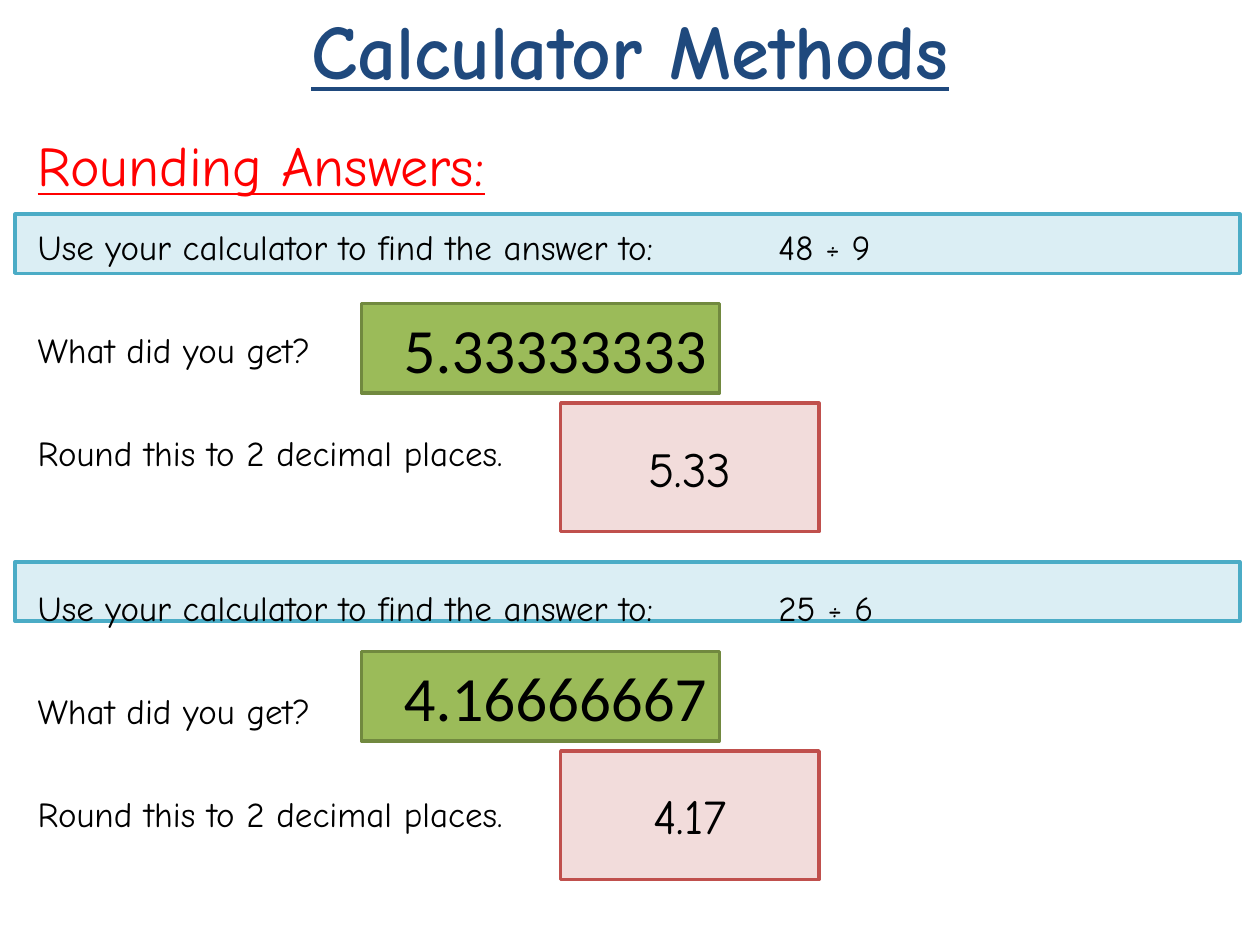
import pptx
import pptx.dml.color
import pptx.enum.shapes
import pptx.enum.text
import pptx.oxml
import pptx.oxml.ns
import pptx.util

SLIDE_W, SLIDE_H = 10, 7.5
COLUMNS, ROWS = 100, 75
HAND, PLAIN = "Comic Neue", "Calibri"
COLOURS = {
    "title": "1F497D", "heading": "FF0000", "text": "000000",
    "band": "DBEEF4", "band_line": "4BACC6",
    "display": "9BBB59", "display_line": "71893F",
    "answer": "F2DCDB", "answer_line": "C0504D",
}
ALIGN = pptx.enum.text.PP_ALIGN
QUESTIONS = [("48 ÷ 9", "5.33333333", "5.33"), ("25 ÷ 6", "4.16666667", "4.17")]


def rgb(name):
    """Return the named colour."""
    return pptx.dml.color.RGBColor.from_string(COLOURS[name])


def place(box):
    """Turn a box in columns and rows into slide lengths."""
    left, top, width, height = box
    col, row = SLIDE_W / COLUMNS, SLIDE_H / ROWS
    return [pptx.util.Inches(v) for v in (left * col, top * row, width * col, height * row)]


def add_text(tf, text, size, font=HAND, colour="text", bold=False,
             underline=False, align=ALIGN.LEFT, before=0, hanging=0, tabs=()):
    """Write one formatted paragraph into a text frame and return it."""
    p = tf.paragraphs[0] if not tf.paragraphs[0].runs else tf.add_paragraph()
    if hanging or tabs:
        pPr = p._p.get_or_add_pPr()
        pPr.set("marL", str(pptx.util.Inches(hanging)))
        pPr.set("indent", str(-pptx.util.Inches(hanging)))
        stops = "".join(f'<a:tab pos="{pptx.util.Inches(t)}" algn="l"/>' for t in tabs)
        pPr.append(pptx.oxml.parse_xml(
            f'<a:tabLst {pptx.oxml.ns.nsdecls("a")}>{stops}</a:tabLst>'))
    p.alignment = align
    p.space_before = pptx.util.Pt(before)
    r = p.add_run()
    r.text = text
    r.font.size = pptx.util.Pt(size)
    r.font.name = font
    r.font.bold = bold
    r.font.underline = underline
    r.font.color.rgb = rgb(colour)
    return p


def add_box(s, box, colour):
    """Draw an outlined rectangle and return its text frame."""
    sp = s.shapes.add_shape(pptx.enum.shapes.MSO_SHAPE.RECTANGLE, *place(box))
    sp.shadow.inherit = False
    sp.fill.solid()
    sp.fill.fore_color.rgb = rgb(colour)
    sp.line.color.rgb = rgb(colour + "_line")
    sp.line.width = pptx.util.Pt(2)
    tf = sp.text_frame
    tf.word_wrap = True
    tf.vertical_anchor = pptx.enum.text.MSO_ANCHOR.MIDDLE
    return tf


def add_text_box(s, box):
    """Add a wrapping text box and return its text frame."""
    tf = s.shapes.add_textbox(*place(box)).text_frame
    tf.word_wrap = True
    return tf


def add_title(s, box):
    """Write the slide title."""
    add_text(add_text_box(s, box), "Calculator Methods", 44, colour="title",
             bold=True, underline=True, align=ALIGN.CENTER)


def add_band(s, box):
    """Draw the band behind a question at the top of its block."""
    left, top, width, height = box
    add_box(s, (left, top, width, 4.7), "band")


def add_results(s, box, display, answer):
    """Place the calculator display and the rounded answer in a block."""
    left, top, width, height = box
    tf = add_box(s, (left + 27.5, top + 7.1, 28.4, 7.1), "display")
    add_text(tf, display, 36, font=PLAIN, align=ALIGN.RIGHT)
    tf = add_box(s, (left + 43.3, top + 15, 20.5, 10.2), "answer")
    add_text(tf, answer, 28, align=ALIGN.CENTER)


def add_worksheet(s, box):
    """Write the heading and the lines of every question."""
    tf = add_text_box(s, box)
    layout = {"hanging": 0.38, "tabs": (5, 6)}
    add_text(tf, "Rounding Answers:", 32, colour="heading", underline=True, **layout)
    for (sum_text, _, _), gap in zip(QUESTIONS, (15.4, 64.4)):
        lines = [(f"Use your calculator to find the answer to:\t\t{sum_text}", gap),
                 ("What did you get?", 35),
                 ("Round this to 2 decimal places.", 35)]
        for text, before in lines:
            add_text(tf, text, 20, before=before, **layout)


def main():
    """Build and save the slide."""
    prs = pptx.Presentation()
    prs.slide_width = pptx.util.Inches(SLIDE_W)
    prs.slide_height = pptx.util.Inches(SLIDE_H)
    s = prs.slides.add_slide(prs.slide_layouts[6])
    blocks = [(1.2, 17 + 27.6 * i, 97.2, 25.2) for i in range(len(QUESTIONS))]
    for block in blocks:
        add_band(s, block)
    add_worksheet(s, (2, 9.9, 95.3, 63))
    for block, (_, display, answer) in zip(blocks, QUESTIONS):
        add_results(s, block, display, answer)
    add_title(s, (0, -0.3, COLUMNS, 7.1))
    prs.save("out.pptx")


if __name__ == "__main__":
    main()
